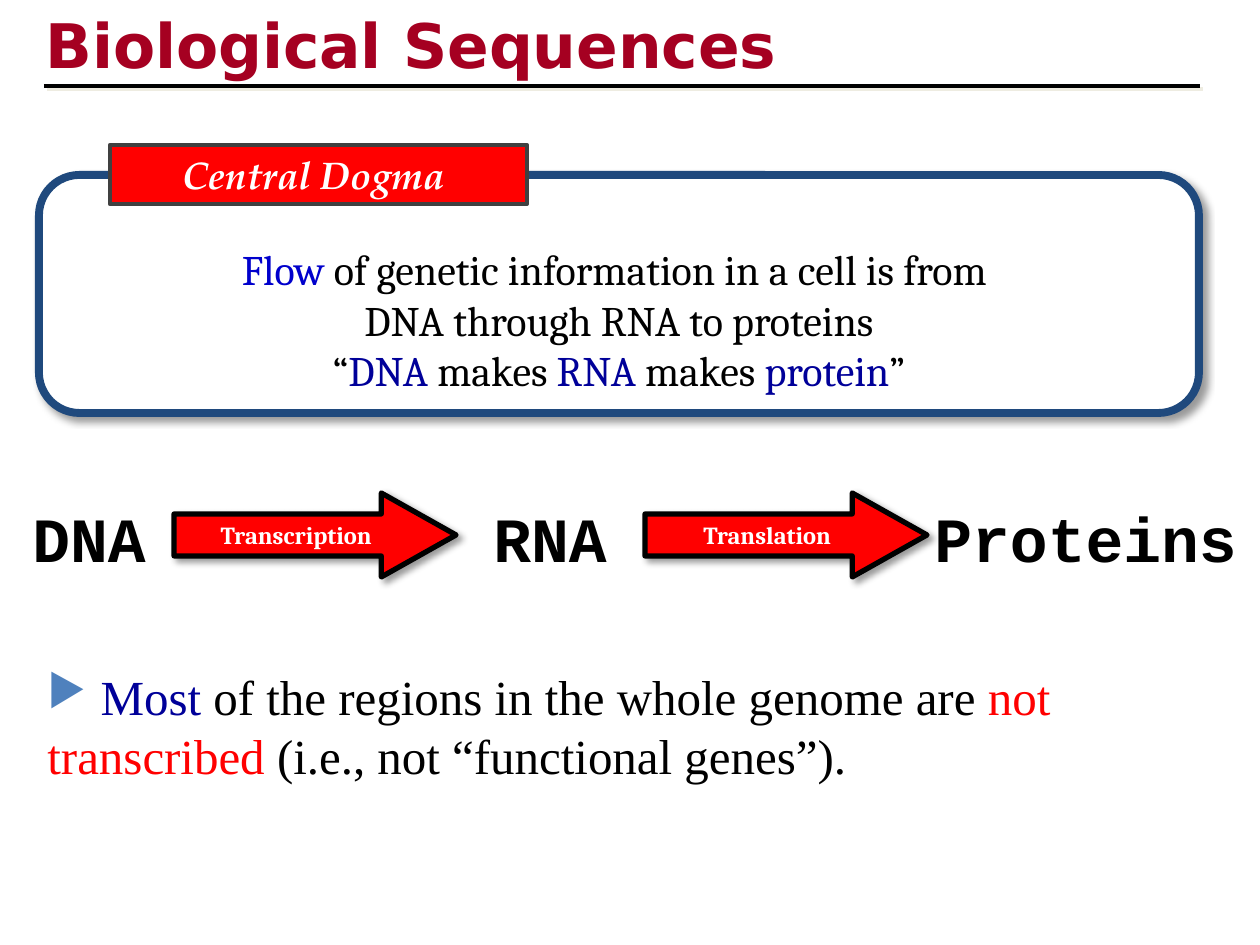
from lxml.etree import SubElement
from pptx import Presentation
from pptx.dml.color import RGBColor
from pptx.enum.shapes import MSO_CONNECTOR, MSO_SHAPE
from pptx.enum.text import MSO_ANCHOR, PP_ALIGN
from pptx.oxml import parse_xml
from pptx.oxml.ns import qn
from pptx.util import Pt

PX = 914400 / 126
NS = 'xmlns:a="http://schemas.openxmlformats.org/drawingml/2006/main"'
BLACK = RGBColor(0, 0, 0)
WHITE = RGBColor(255, 255, 255)
RED = RGBColor(255, 0, 0)
WINE = RGBColor(0xA5, 0x00, 0x21)
NAVY = RGBColor(0, 0, 0x99)
BLUE = RGBColor(0, 0, 0xCC)
STEEL = RGBColor(0x1F, 0x49, 0x7D)
GRAY = RGBColor(0x40, 0x40, 0x40)
SAND = RGBColor(0xEE, 0xEC, 0xE1)
SKY = RGBColor(0x4F, 0x81, 0xBD)


def shade(color, alpha, blur, dist):
    return parse_xml(
        f'<a:effectLst {NS}><a:outerShdw blurRad="{Pt(blur)}" dist="{Pt(dist)}" '
        f'dir="2700000" algn="tl" rotWithShape="0"><a:srgbClr val="{color}">'
        f'<a:alpha val="{alpha * 1000}"/></a:srgbClr></a:outerShdw></a:effectLst>')


def write(para, runs, font, size, bold=False, italic=False):
    for text, color in runs:
        run = para.add_run()
        run.text = text
        run.font.name = font
        run.font.size = Pt(size)
        run.font.bold = bold
        run.font.italic = italic
        run.font.color.rgb = color


deck = Presentation()
deck.slide_width = round(1260 * PX)
deck.slide_height = round(945 * PX)
shapes = deck.slides.add_slide(deck.slide_layouts[6]).shapes

texts = [
    ((33, 1, 1071, 84), [("Biological Sequences", WINE)], "DejaVu Sans", 35.1, True),
    ((20, 493, 184, 89), [("DNA", BLACK)], "Courier New", 36, True),
    ((481, 493, 184, 89), [("RNA", BLACK)], "Courier New", 36, True),
    ((922, 493, 372, 89), [("Proteins", BLACK)], "Courier New", 36, True),
    ((35, 660, 1201, 125),
     [(" ", BLACK), ("Most", NAVY),
      (" of the regions in the whole genome are ", BLACK),
      ("not transcribed ", RED), ("(i.e., not “functional genes”).", BLACK)],
     "Times New Roman", 28, False),
]
boxes = []
for place, runs, font, size, bold in texts:
    box = shapes.add_textbox(*[round(n * PX) for n in place])
    box.text_frame.word_wrap = True
    write(box.text_frame.paragraphs[0], runs, font, size, bold)
    boxes.append(box)

title = boxes[0].text_frame.paragraphs[0].runs[0]
title.font.fill._xPr.find(qn("a:solidFill")).addnext(shade(SAND, 100, 0, 2.8))

props = boxes[-1].text_frame.paragraphs[0]._p.get_or_add_pPr()
props.set("marL", "0")
props.set("indent", "0")
tint = SubElement(props, qn("a:buClr"))
SubElement(tint, qn("a:srgbClr"), val=str(SKY))
SubElement(props, qn("a:buSzPct"), val="90000")
SubElement(props, qn("a:buChar"), char="▶")

rule = shapes.add_connector(
    MSO_CONNECTOR.STRAIGHT, *[round(n * PX) for n in (44, 86, 1200, 86)])
rule.line.color.rgb = BLACK
rule.line.width = Pt(2.25)
rule._element.spPr.append(shade(SAND, 100, 0, 2.8))

dogma = [
    [("Flow ", BLUE), ("of genetic information in a cell is from ", BLACK)],
    [("DNA through RNA to proteins", BLACK)],
    [("“", BLACK), ("DNA ", NAVY), ("makes ", BLACK), ("RNA", NAVY),
     (" makes ", BLACK), ("protein", NAVY), ("”", BLACK)],
]
ARROW = MSO_SHAPE.RIGHT_ARROW
forms = [
    (ARROW, (174, 493, 282, 84), (0.5, 0.89), RED, BLACK, 3, 3,
     [[("Transcription", WHITE)]], "Cambria", 14, True, False),
    (ARROW, (645, 493, 282, 84), (0.5, 0.89), RED, BLACK, 3, 3,
     [[("Translation", WHITE)]], "Cambria", 14, True, False),
    (MSO_SHAPE.ROUNDED_RECTANGLE, (39, 175, 1160, 238), (0.17,), WHITE, STEEL, 4.5, 4,
     dogma, "Cambria", 24, False, False),
    (MSO_SHAPE.RECTANGLE, (110, 145, 417, 59), (), RED, GRAY, 2.5, 0,
     [[("Central Dogma ", WHITE)]], "TeX Gyre Pagella", 22, True, True),
]
for kind, place, adjust, fill, edge, width, dist, lines, font, size, bold, italic in forms:
    form = shapes.add_shape(kind, *[round(n * PX) for n in place])
    for i, value in enumerate(adjust):
        form.adjustments[i] = value
    form.fill.solid()
    form.fill.fore_color.rgb = fill
    form.line.color.rgb = edge
    form.line.width = Pt(width)
    if dist:
        form._element.spPr.append(shade(BLACK, 40, 4, dist))
    else:
        form.shadow.inherit = False
    frame = form.text_frame
    frame.vertical_anchor = MSO_ANCHOR.MIDDLE
    frame.word_wrap = lines is not dogma
    if lines is dogma:
        frame.margin_top = round(57 * PX)
    for i, runs in enumerate(lines):
        para = frame.add_paragraph() if i else frame.paragraphs[0]
        para.alignment = PP_ALIGN.CENTER
        write(para, runs, font, size, bold, italic)

deck.save("out.pptx")
